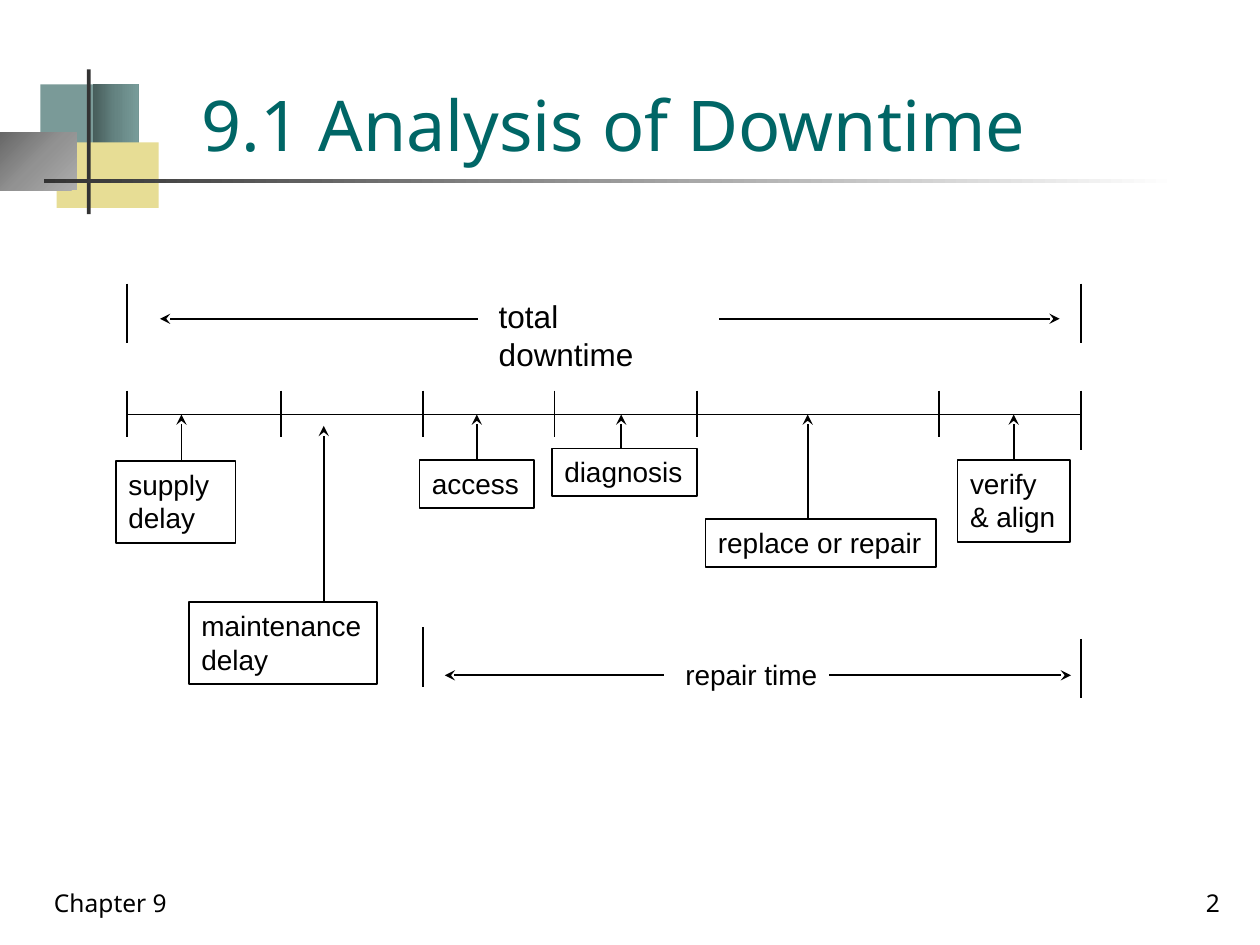
from dataclasses import dataclass

from lxml.etree import SubElement
from pptx import Presentation
from pptx.dml.color import RGBColor
from pptx.enum.shapes import MSO_CONNECTOR as Connector, MSO_SHAPE as Shape
from pptx.enum.text import MSO_ANCHOR as Anchor, MSO_AUTO_SIZE as AutoSize, PP_ALIGN as Align
from pptx.oxml.ns import qn
from pptx.util import Inches, Pt


@dataclass(frozen=True)
class Theme:
    heading_font: str = "Noto Sans"
    body_font: str = "Arial"
    title_size: int = 40
    total_size: int = 18
    label_size: int = 16
    footer_size: int = 14
    line_width: int = 1
    title: str = "006666"
    ink: str = "000000"
    teal: str = "7A9A98"
    sand: str = "E7DD95"
    bar: str = "333333"
    teal_fade: tuple = ((0, "475D5B"), (50, "658482"), (100, "789C9A"))
    grey_fade: tuple = ((0, "676767"), (50, "929292"), (100, "ADADAD"))
    rule_fade: tuple = ((0, "333333"), (100, "FFFFFF"))


THEME = Theme()


def rgb(value):
    return RGBColor.from_string(value)


def inches(box):
    return [Inches(length) for length in box]


def write(shape, lines, size, font=THEME.body_font, color=THEME.ink,
          align=Align.LEFT, **frame_format):
    frame = shape.text_frame
    settings = {"word_wrap": True, "auto_size": AutoSize.NONE,
                "vertical_anchor": Anchor.TOP, **frame_format}
    for attribute, value in settings.items():
        setattr(frame, attribute, value)
    frame.text = "\n".join(lines)
    for paragraph in frame.paragraphs:
        paragraph.alignment = align
        for run in paragraph.runs:
            run.font.name, run.font.size = font, Pt(size)
            run.font.color.rgb = rgb(color)


def add_text(slide, box, lines, size, **text_format):
    write(slide.shapes.add_textbox(*inches(box)), lines, size, **text_format)


def add_rect(slide, box, fill=None):
    rect = slide.shapes.add_shape(Shape.RECTANGLE, *inches(box))
    rect.shadow.inherit = False
    rect.line.fill.background()
    if fill:
        rect.fill.solid()
        rect.fill.fore_color.rgb = rgb(fill)
    else:
        rect.fill.background()
    return rect


def add_gradient_rect(slide, box, stops, from_corner=False):
    properties = add_rect(slide, box)._element.spPr
    gradient = SubElement(properties, qn("a:gradFill"))
    properties.replace(properties.find(qn("a:noFill")), gradient)
    stop_list = SubElement(gradient, qn("a:gsLst"))
    for position, color in stops:
        stop = SubElement(stop_list, qn("a:gs"), pos=str(position * 1000))
        SubElement(stop, qn("a:srgbClr"), val=color)
    if from_corner:
        shade = SubElement(gradient, qn("a:path"), path="circle")
        SubElement(shade, qn("a:fillToRect"), r="100000", b="100000")
    else:
        SubElement(gradient, qn("a:lin"), ang="0", scaled="0")


def add_line(slide, start, end, arrow=False):
    """Draw a line; an arrow has its head at the end."""
    line = slide.shapes.add_connector(Connector.STRAIGHT, *inches((*start, *end)))
    line.line.width = Pt(THEME.line_width)
    line.line.color.rgb = rgb(THEME.ink)
    if arrow:
        SubElement(line.line._get_or_add_ln(), qn("a:tailEnd"), type="stealth")
    SubElement(line._element.spPr, qn("a:effectLst"))
    return line


def add_tick(slide, x, top, height):
    add_line(slide, (x, top), (x, top + height))


def add_emblem(slide, left, top):
    """Place the blocks and bars beside the title."""
    def at(x, y, width, height):
        return left + x, top + y, width, height

    add_rect(slide, at(0.32, 0.12, 0.48, 0.52), THEME.teal)
    add_gradient_rect(slide, at(0.74, 0.12, 0.36, 0.52), THEME.teal_fade)
    add_rect(slide, at(0.45, 0.58, 0.81, 0.52), THEME.sand)
    add_gradient_rect(slide, at(0, 0.5, 0.61, 0.46), THEME.grey_fade, from_corner=True)
    add_rect(slide, at(0.69, 0, 0.03, 1.15), THEME.bar)
    add_gradient_rect(slide, at(0.35, 0.87, 9, 0.03), THEME.rule_fade)


def add_title(slide, box, text):
    title = slide.shapes.title
    title.left, title.top, title.width, title.height = inches(box)
    write(title, [text], THEME.title_size, font=THEME.heading_font,
          color=THEME.title, vertical_anchor=Anchor.BOTTOM)


def add_footer(slide, box, chapter, number):
    left, top, width, height = box
    part_width = 2.08
    for text, x, align in ((chapter, left, Align.LEFT),
                           (number, left + width - part_width, Align.RIGHT)):
        add_text(slide, (x, top, part_width, height), [text], THEME.footer_size,
                 font=THEME.heading_font, align=align, vertical_anchor=Anchor.BOTTOM)


def add_span(slide, y, bounds, arrows, label_box, label, size, **label_format):
    """Measure a period: two end ticks and two arrows pointing away from a label."""
    for x, top in bounds:
        add_tick(slide, x, top, 0.47)
    for start, tip in arrows:
        add_line(slide, (start, y), (tip, y), arrow=True)
    add_text(slide, label_box, [label], size, **label_format)


def add_stage(slide, box, lines, arrow_x, tip_y):
    """Box a stage name and point it at the time axis."""
    left, top, width, _ = box
    stage = add_rect(slide, box)
    stage.line.width = Pt(THEME.line_width)
    stage.line.color.rgb = rgb(THEME.ink)
    write(stage, lines, THEME.label_size, word_wrap=False)
    middle = left + width / 2
    centred = abs(middle - arrow_x) < 0.02
    x = middle if centred else arrow_x
    arrow = add_line(slide, (x, top), (x, tip_y), arrow=True)
    if centred:
        arrow.begin_connect(stage, 0)


def add_timeline(slide, left, right, y):
    one_line, two_lines = 0.38, 0.65
    stages = (
        (0.92, 3.66, 0.95, ["supply", "delay"], 1.44, y),
        (1.5, 4.78, 1.49, ["maintenance", "delay"], 2.57, y + 0.09),
        (3.33, 3.65, 0.91, ["access"], 3.79, y),
        (4.38, 3.56, 1.15, ["diagnosis"], 4.93, y),
        (5.6, 4.12, 1.83, ["replace or repair"], 6.41, y),
        (7.6, 3.65, 0.89, ["verify", "& align"], 8.06, y),
    )
    add_line(slide, (left, y), (right, y))
    for x in (left, 2.23, 3.36, 4.4, 5.53, 7.45):
        add_tick(slide, x, y - 0.19, 0.37)
    add_tick(slide, right, y - 0.19, 0.47)
    for x, top, width, lines, arrow_x, tip_y in stages:
        height = one_line if len(lines) == 1 else two_lines
        add_stage(slide, (x, top, width, height), lines, arrow_x, tip_y)


def main():
    deck = Presentation()
    deck.slide_width, deck.slide_height = Inches(10), Inches(7.5)
    slide = deck.slides.add_slide(deck.slide_layouts[5])
    start, end, repair_start = 1.01, 8.58, 3.36

    add_emblem(slide, 0, 0.55)
    add_title(slide, (1.5, 0.5, 7.77, 0.86), "9.1 Analysis of Downtime")
    add_span(slide, 2.53, ((start, 2.25), (end, 2.25)), ((3.79, 1.27), (5.71, 8.41)),
             (3.86, 2.31, 1.81, 0.4), "total downtime", THEME.total_size,
             margin_right=Inches(0.3))
    add_timeline(slide, start, end, 3.29)
    add_span(slide, 5.36, ((repair_start, 4.98), (end, 5.07)), ((5.27, 3.53), (6.58, 8.5)),
             (5.34, 5.17, 1.25, 0.37), "repair time", THEME.label_size, word_wrap=False)
    add_footer(slide, (0.33, 6.83, 9.45, 0.5), "Chapter 9", "2")
    deck.save("out.pptx")


if __name__ == "__main__":
    main()
